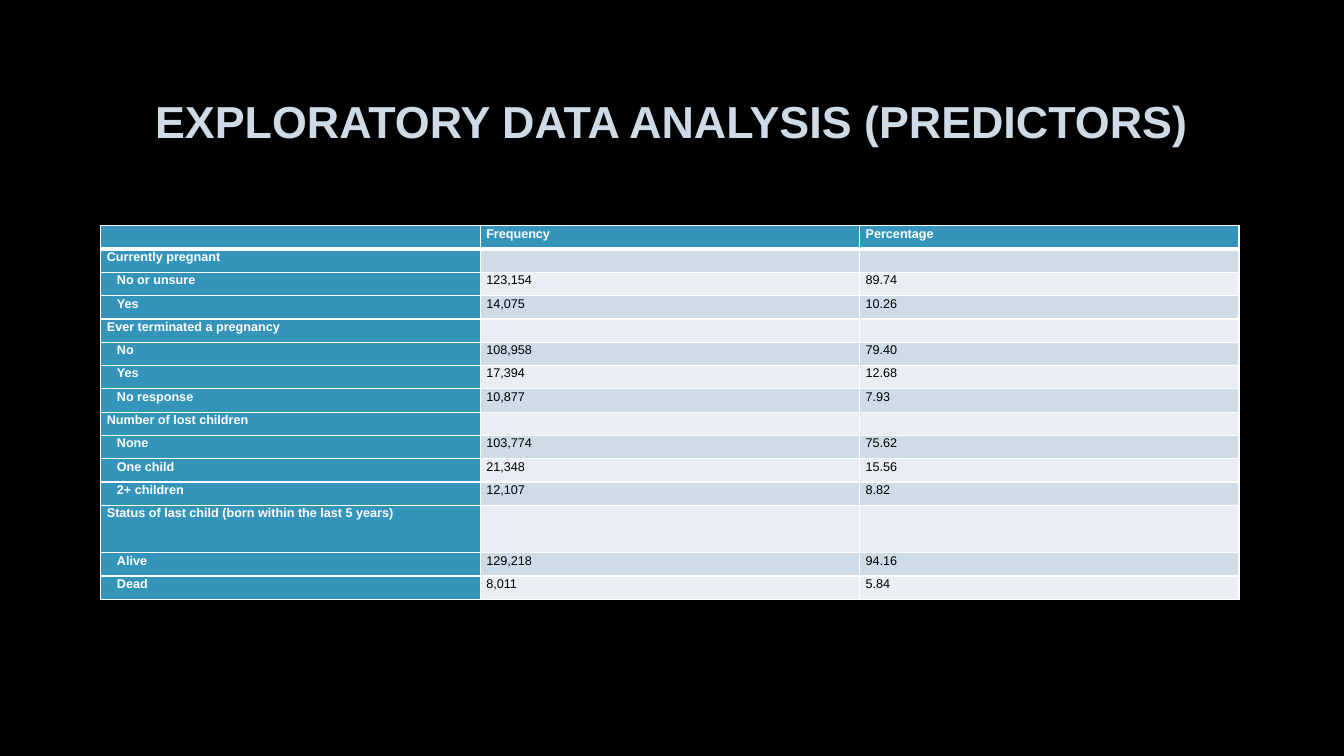
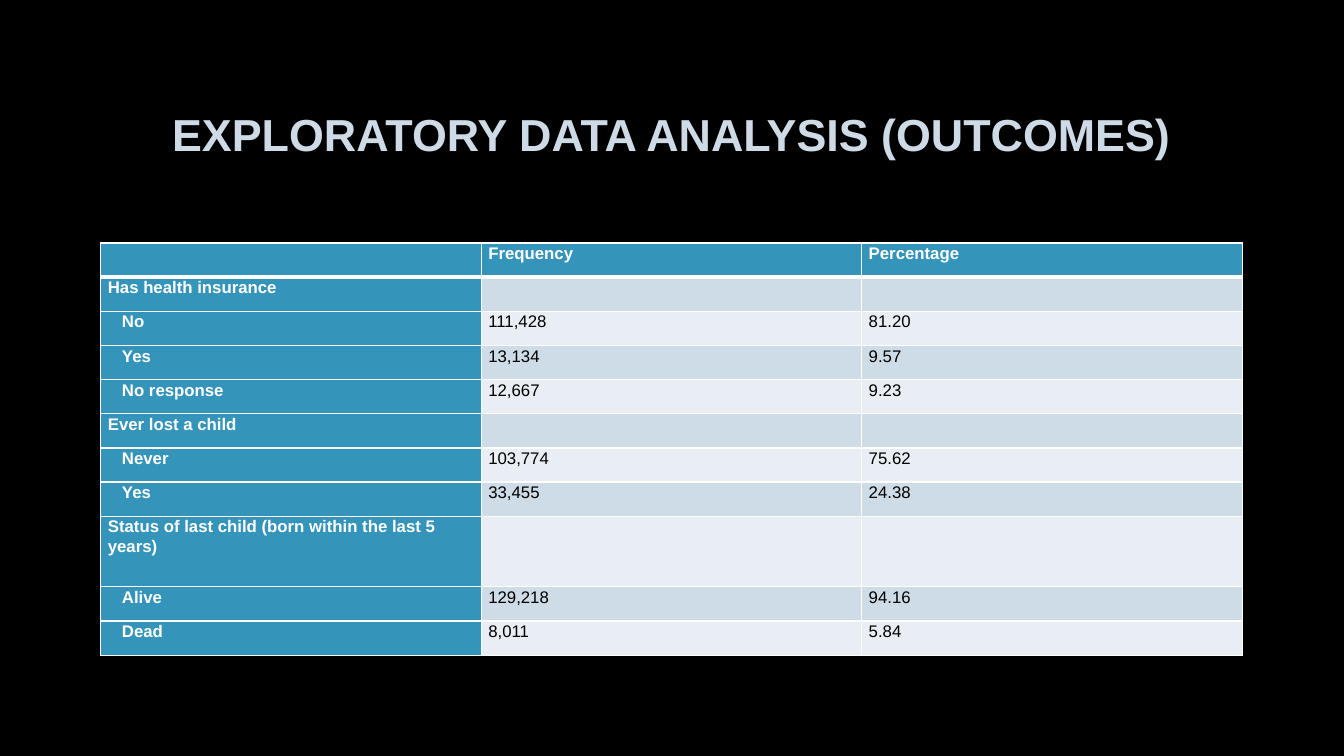
from lxml import etree
from pptx import Presentation
from pptx.dml.color import RGBColor
from pptx.enum.text import MSO_ANCHOR, MSO_AUTO_SIZE, PP_ALIGN
from pptx.oxml.ns import qn
from pptx.util import Inches, Pt

CENTER = PP_ALIGN.CENTER
MIDDLE = MSO_ANCHOR.MIDDLE
NO_AUTOFIT = MSO_AUTO_SIZE.NONE

BLACK = RGBColor(0x00, 0x00, 0x00)
WHITE = RGBColor(0xFF, 0xFF, 0xFF)
TITLE_BLUE = RGBColor(0xCE, 0xDB, 0xE6)
ACCENT_BLUE = RGBColor(0x34, 0x94, 0xBA)
DARK_BAND = RGBColor(0xCE, 0xDC, 0xE7)
LIGHT_BAND = RGBColor(0xE8, 0xEE, 0xF3)

FONT = "Arial"
LEFT = 1
THIN, THICK = 1, 3

HEADER = ("", "Frequency", "Percentage")
LAST_CHILD = "Status of last child (born within the last 5 years)"
LAST_CHILD_GROUP = (
    LAST_CHILD,
    [("Alive", "129,218", "94.16"), ("Dead", "8,011", "5.84")],
)

SLIDES = [
    {
        "title": "EXPLORATORY DATA ANALYSIS (PREDICTORS)",
        "title_height": 1.12,
        "top": 2.24,
        "width": 11.29,
        "height": 3.71,
        "tall_row": 0.47,
        "font_size": 9,
        "margin": 0.06,
        "indent": 0.1,
        "groups": [
            ("Currently pregnant", [
                ("No or unsure", "123,154", "89.74"),
                ("Yes", "14,075", "10.26"),
            ]),
            ("Ever terminated a pregnancy", [
                ("No", "108,958", "79.40"),
                ("Yes", "17,394", "12.68"),
                ("No response", "10,877", "7.93"),
            ]),
            ("Number of lost children", [
                ("None", "103,774", "75.62"),
                ("One child", "21,348", "15.56"),
                ("2+ children", "12,107", "8.82"),
            ]),
            LAST_CHILD_GROUP,
        ],
    },
    {
        "title": "EXPLORATORY DATA ANALYSIS (OUTCOMES)",
        "title_height": 1.38,
        "top": 2.41,
        "width": 11.32,
        "height": 4.09,
        "tall_row": 0.7,
        "font_size": 12,
        "margin": 0.07,
        "indent": 0.14,
        "groups": [
            ("Has health insurance", [
                ("No", "111,428", "81.20"),
                ("Yes", "13,134", "9.57"),
                ("No response", "12,667", "9.23"),
            ]),
            ("Ever lost a child", [
                ("Never", "103,774", "75.62"),
                ("Yes", "33,455", "24.38"),
            ]),
            LAST_CHILD_GROUP,
        ],
    },
]


def set_borders(cell, top, bottom):
    properties = cell._tc.get_or_add_tcPr()
    for side, width in (("L", THIN), ("R", THIN), ("T", top), ("B", bottom)):
        line = etree.SubElement(properties, qn(f"a:ln{side}"), w=str(Pt(width)))
        fill = etree.SubElement(line, qn("a:solidFill"))
        etree.SubElement(fill, qn("a:srgbClr"), val=str(WHITE))


def format_run(run, size, color, bold):
    run.font.name = FONT
    run.font.size = Pt(size)
    run.font.color.rgb = color
    run.font.bold = bold


presentation = Presentation()
presentation.slide_width = Inches(13.33)
presentation.slide_height = Inches(7.5)
background = presentation.slide_master.background.fill
background.solid()
background.fore_color.rgb = BLACK
title_only = presentation.slide_layouts.get_by_name("Title Only")

for content in SLIDES:
    slide = presentation.slides.add_slide(title_only)

    title = slide.shapes.title
    title.left, title.top = Inches(LEFT), Inches(0.67)
    title.width, title.height = Inches(11.32), Inches(content["title_height"])
    title.text_frame.text = content["title"]
    title.text_frame.word_wrap = True
    title.text_frame.auto_size = NO_AUTOFIT
    title.text_frame.vertical_anchor = MIDDLE
    paragraph = title.text_frame.paragraphs[0]
    paragraph.alignment = CENTER
    paragraph.line_spacing = 0.9
    format_run(paragraph.runs[0], 32, TITLE_BLUE, True)

    rows = [(HEADER, False)]
    for heading, members in content["groups"]:
        rows.append(((heading, "", ""), False))
        rows.extend((member, True) for member in members)

    table = slide.shapes.add_table(
        len(rows), len(HEADER), Inches(LEFT), Inches(content["top"]),
        Inches(content["width"]), Inches(content["height"]),
    ).table
    table.horz_banding = False
    for column in table.columns:
        column.width = Inches(content["width"] / len(HEADER))
    row_height = (content["height"] - content["tall_row"]) / (len(rows) - 1)

    for row_index, (values, is_member) in enumerate(rows):
        is_tall = values[0] == LAST_CHILD
        table.rows[row_index].height = Inches(content["tall_row"] if is_tall else row_height)
        band = DARK_BAND if row_index % 2 else LIGHT_BAND

        for column_index, value in enumerate(values):
            cell = table.cell(row_index, column_index)
            is_label = row_index == 0 or column_index == 0
            set_borders(
                cell,
                THICK if row_index == 1 else THIN,
                THICK if row_index == 0 else THIN,
            )
            cell.fill.solid()
            cell.fill.fore_color.rgb = ACCENT_BLUE if is_label else band
            indent = content["indent"] if is_member and column_index == 0 else 0
            cell.margin_left = Inches(content["margin"] + indent)
            cell.margin_right = Inches(content["margin"])
            cell.margin_top = cell.margin_bottom = 0

            paragraph = cell.text_frame.paragraphs[0]
            paragraph.line_spacing = 1.07
            if value:
                paragraph.text = value
                color = WHITE if is_label else BLACK
                format_run(paragraph.runs[0], content["font_size"], color, is_label)
            else:
                size = str(content["font_size"] * 100)
                etree.SubElement(paragraph._p, qn("a:endParaRPr"), sz=size)

presentation.save("out.pptx")
